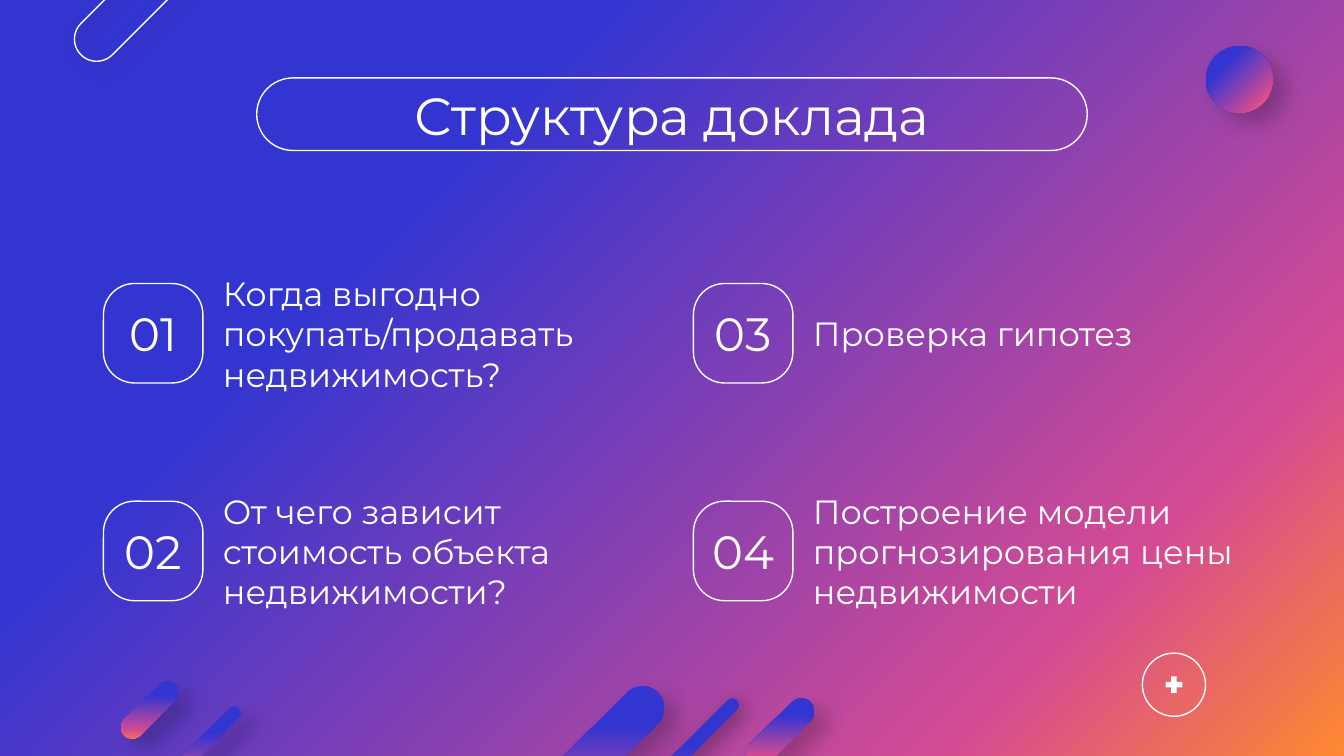
from dataclasses import dataclass

from lxml import etree
from pptx import Presentation
from pptx.dml.color import RGBColor
from pptx.enum.shapes import MSO_SHAPE
from pptx.enum.text import MSO_ANCHOR, PP_ALIGN
from pptx.oxml.ns import qn
from pptx.util import Inches, Pt

PILL = MSO_SHAPE.ROUNDED_RECTANGLE
DISC = MSO_SHAPE.OVAL
PLUS = MSO_SHAPE.MATH_PLUS
MID = MSO_ANCHOR.MIDDLE
LEFT, CENTER = PP_ALIGN.LEFT, PP_ALIGN.CENTER


@dataclass(frozen=True)
class Theme:
    font: str = "Montserrat"
    white: str = "FFFFFF"
    black: str = "000000"
    stops: tuple = ((0, "3335D1"), (29, "3335D1"), (81, "D54B93"), (100, "FF882F"))
    title: int = 28
    mark: int = 25
    body: int = 18
    line: float = 0.75


THEME = Theme()

# Shadows: opacity %, blur pt, distance pt
SOFT = (22, 11.2, 9)
CLOSE = (40, 11.2, 3.8)

# Pills: left, top, width, height, shadow, has gradient
PILLS = [
    (4.22, 4.94, 0.33, 1.45, SOFT, True),
    (4.81, 4.95, 0.1, 1.77, CLOSE, True),
    (0.95, -0.83, 0.33, 1.45, CLOSE, False),
    (1.03, 5.01, 0.17, 0.54, SOFT, True),
    (1.39, 5.13, 0.1, 0.96, SOFT, True),
    (5.71, 5.13, 0.2, 0.63, SOFT, True),
]

# Topics run down each column: text, box width, box height
TOPICS = [
    ("Когда выгодно покупать/продавать недвижимость?", 3.35, 1.02),
    ("От чего зависит стоимость объекта недвижимости?", 3.35, 1.49),
    ("Проверка гипотез", 3.41, 1.02),
    ("Построение модели прогнозирования цены недвижимости", 3.4, 0.25),
]


def add_node(parent, tag, **attrs):
    return etree.SubElement(parent, qn(tag), {k: str(v) for k, v in attrs.items()})


def add_tint(parent, color, alpha=None):
    tint = add_node(parent, "a:srgbClr", val=color)
    if alpha is not None:
        add_node(tint, "a:alpha", val=alpha * 1000)


def set_blend(fill, root):
    fill.gradient()
    fill.gradient_angle = 315
    stops = root.find(".//" + qn("a:gsLst"))
    for old in list(stops):
        stops.remove(old)
    for pos, color in THEME.stops:
        add_tint(add_node(stops, "a:gs", pos=pos * 1000), color)


def set_shade(shape, shade):
    alpha, blur, dist = shade
    effects = shape.element.find(".//" + qn("a:effectLst"))
    outer = add_node(effects, "a:outerShdw", blurRad=int(Pt(blur)),
                     dist=int(Pt(dist)), dir=40 * 60000, algn="bl", rotWithShape=0)
    add_tint(outer, THEME.black, alpha)


def add_form(shapes, kind, box, adj=None, turn=0, blend=False, solid=False, shade=None):
    """A filled shape without a line, or a white outline without a fill."""
    shape = shapes.add_shape(kind, *map(Inches, box))
    shape.shadow.inherit = False
    shape.rotation = turn
    if adj is not None:
        shape.adjustments[0] = adj
    if blend:
        set_blend(shape.fill, shape.element)
    elif solid:
        shape.fill.solid()
        shape.fill.fore_color.rgb = RGBColor.from_string(THEME.white)
    else:
        shape.fill.background()
    if blend or solid:
        shape.line.fill.background()
    else:
        shape.line.color.rgb = RGBColor.from_string(THEME.white)
        shape.line.width = Pt(THEME.line)
    if shade:
        set_shade(shape, shade)


def add_text(shapes, text, box, size, align=LEFT, side=0.1):
    frame = shapes.add_textbox(*map(Inches, box)).text_frame
    frame.word_wrap = True
    frame.vertical_anchor = MID
    frame.margin_left = frame.margin_right = Inches(side)
    frame.margin_top = frame.margin_bottom = Inches(0.1)
    para = frame.paragraphs[0]
    para.alignment = align
    run = para.add_run()
    run.text = text
    run.font.name = THEME.font
    run.font.size = Pt(size)
    run.font.color.rgb = RGBColor.from_string(THEME.white)


def add_decor(shapes):
    for *box, shade, blend in PILLS:
        add_form(shapes, PILL, box, adj=0.5, turn=45, blend=blend, shade=shade)
    add_form(shapes, DISC, (8.97, 0.34, 0.5, 0.5), blend=True, shade=SOFT)
    badge = shapes.add_group_shape().shapes
    add_form(badge, DISC, (8.5, 4.86, 0.47, 0.47))
    add_form(badge, PLUS, (8.65, 5.01, 0.17, 0.17), adj=0.235, solid=True)


def add_topic(shapes, index, text, width, height):
    col, row = divmod(index, 2)
    left, top, side, inset = 0.77 + 4.39 * col, 2.11 + 1.62 * row, 0.74, 0.05
    add_form(shapes, PILL, (left, top, side, side), adj=0.312)
    inner = side - 2 * inset
    add_text(shapes, f"{index + 1:02}", (left + inset, top + inset, inner, inner),
             THEME.mark, CENTER, side=0)
    middle = top + side / 2
    add_text(shapes, text, (left + 0.79, middle - height / 2, width, height), THEME.body)


def main():
    # Widescreen page, 16:9
    deck = Presentation()
    deck.slide_width = Inches(10)
    deck.slide_height = Inches(10 * 9 / 16)
    slide = deck.slides.add_slide(deck.slide_layouts[6])
    shapes = slide.shapes

    # Background and ornaments
    set_blend(slide.background.fill, slide.element)
    add_decor(shapes)

    # Heading
    add_form(shapes, PILL, (1.91, 0.58, 6.18, 0.54), adj=0.5)
    add_text(shapes, "Структура доклада", (0.78, 0.6, 8.44, 0.5), THEME.title, CENTER)

    # Numbered topics
    for index, topic in enumerate(TOPICS):
        add_topic(shapes, index, *topic)

    deck.save("out.pptx")


if __name__ == "__main__":
    main()
